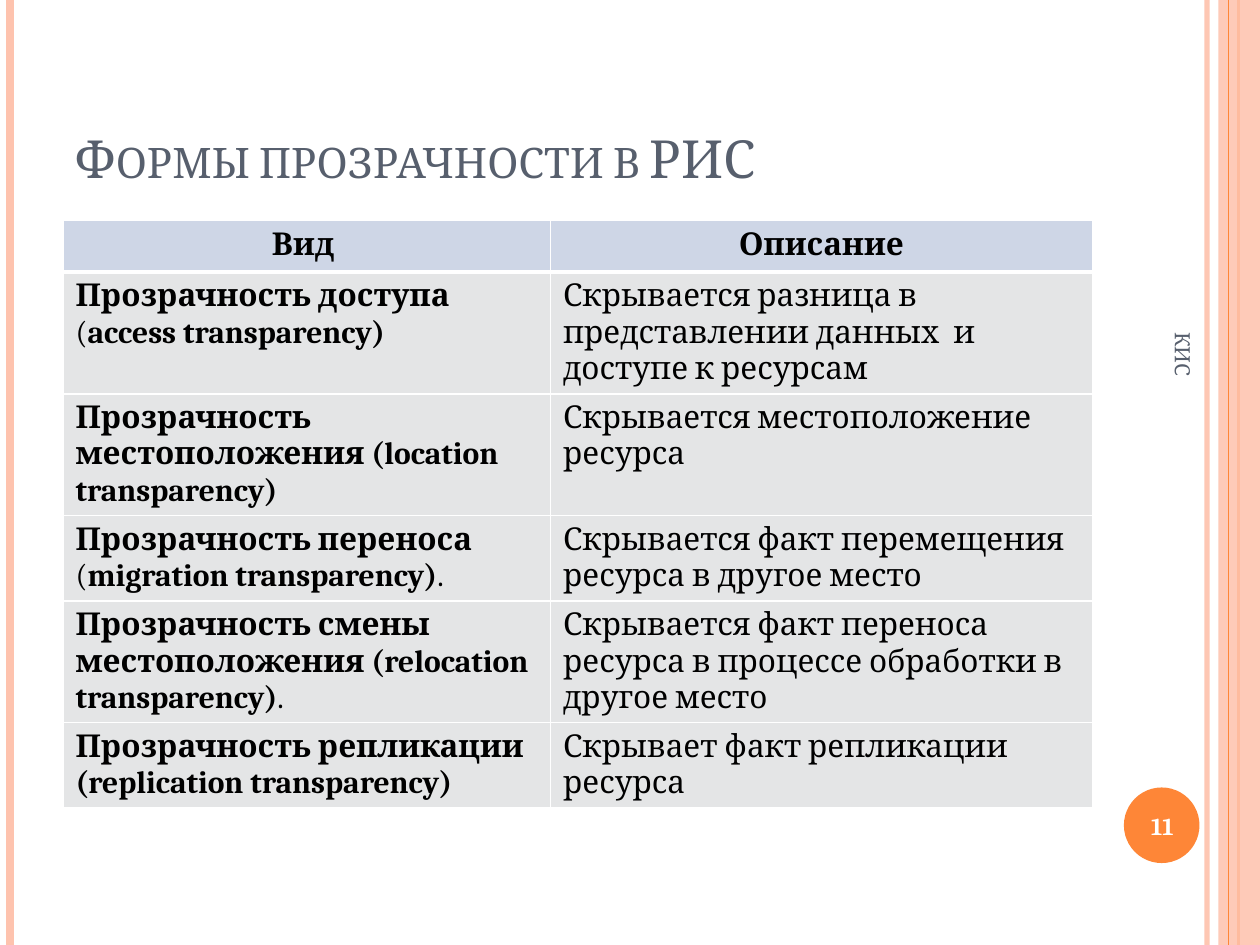
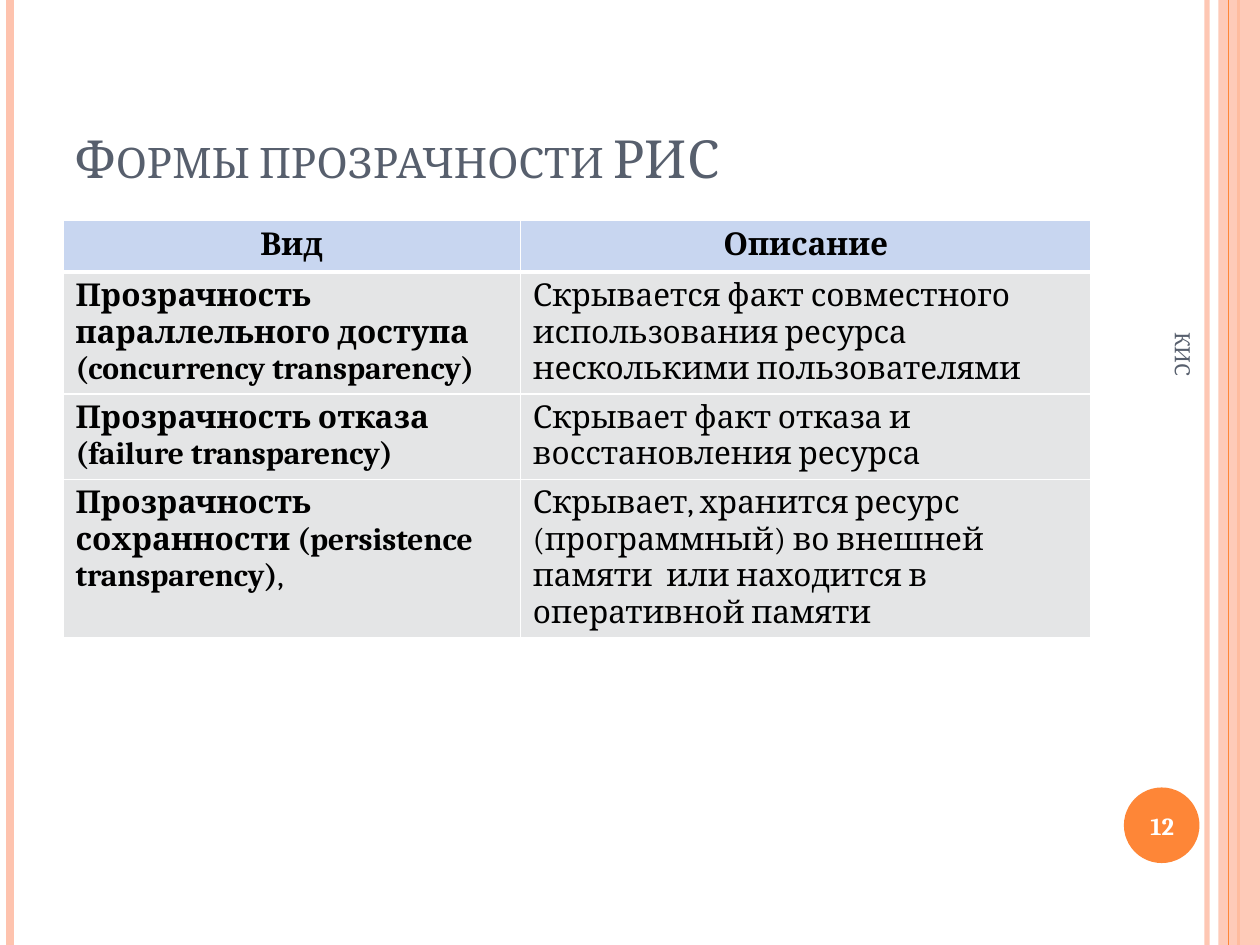
from lxml import etree
from pptx import Presentation
from pptx.dml.color import RGBColor
from pptx.enum.shapes import MSO_CONNECTOR, MSO_SHAPE
from pptx.enum.text import MSO_ANCHOR, MSO_AUTO_SIZE, PP_ALIGN
from pptx.oxml import parse_xml
from pptx.oxml.ns import nsdecls, qn
from pptx.util import Inches, Pt

FONT = "Cambria"
WHITE = RGBColor(0xFF, 0xFF, 0xFF)
BLACK = RGBColor(0x00, 0x00, 0x00)
SLATE = RGBColor(0x57, 0x5F, 0x6D)
ORANGE = RGBColor(0xFE, 0x86, 0x37)
PEACH = RGBColor(0xFE, 0xC3, 0xAE)
ROW_GREY = RGBColor(0xE4, 0xE5, 0xE6)

# Vertical rules: x, colour, width in points, opacity in percent
RULES_BELOW_BAND = [(9.58, PEACH, 3, 93), (0.08, PEACH, 4.5, 100), (9.83, ORANGE, 1.5, 100)]
RULES_ABOVE_BAND = [(9.75, ORANGE, 0.75, 100)]

# In the first column "|" switches between bold and regular text.
SLIDES = [
    {
        "title": "Формы прозрачности в РИС",
        "number": "11",
        "header_fill": RGBColor(0xCE, 0xD6, 0xE6),
        "widths": (3.87, 4.3),
        "rows": [
            ("Вид ", "Описание"),
            ("Прозрачность доступа |(|access transparency)",
             "Скрывается разница в представлении данных  и доступе к ресурсам"),
            ("Прозрачность местоположения (location transparency)",
             "Скрывается местоположение ресурса"),
            ("Прозрачность переноса |(|migration transparency)|.",
             "Скрывается факт перемещения ресурса в другое место"),
            ("Прозрачность смены местоположения (relocation transparency)|.",
             "Скрывается факт переноса ресурса в процессе обработки в другое место"),
            ("Прозрачность репликации (replication transparency)",
             "Скрывает факт репликации ресурса"),
        ],
    },
    {
        "title": "Формы прозрачности РИС",
        "number": "12",
        "header_fill": RGBColor(0xC8, 0xD6, 0xF0),
        "widths": (3.63, 4.53),
        "rows": [
            ("Вид", "Описание"),
            ("Прозрачность параллельного доступа (concurrency transparency)",
             "Скрывается факт совместного использования ресурса несколькими пользователями"),
            ("Прозрачность отказа (failure transparency)",
             "Скрывает факт отказа и восстановления ресурса"),
            ("Прозрачность сохранности (persistence transparency)|,",
             "Скрывает, хранится ресурс (программный) во внешней памяти  или находится "
             "в оперативной памяти"),
        ],
    },
]


def set_opacity(element, percent):
    color = element.find(".//" + qn("a:srgbClr"))
    etree.SubElement(color, qn("a:alpha")).set("val", str(percent * 1000))


def add_rules(page, rules):
    """Draw full-height vertical lines."""
    for x, color, width, opacity in rules:
        rule = page.shapes.add_connector(
            MSO_CONNECTOR.STRAIGHT, Inches(x), 0, Inches(x), Inches(7.5))
        rule.line.color.rgb = color
        rule.line.width = Pt(width)
        if opacity < 100:
            set_opacity(rule.line._ln, opacity)
        etree.SubElement(rule._element.spPr, qn("a:effectLst"))


deck = Presentation()
deck.slide_width, deck.slide_height = Inches(10), Inches(7.5)

for content in SLIDES:
    page = deck.slides.add_slide(deck.slide_layouts[5])

    # Side bands and number disc
    add_rules(page, RULES_BELOW_BAND)
    band = page.shapes.add_shape(
        MSO_SHAPE.RECTANGLE, Inches(9.67), 0, Inches(0.33), Inches(7.5))
    disc = page.shapes.add_shape(
        MSO_SHAPE.OVAL, Inches(8.92), Inches(6.25), Inches(0.6), Inches(0.6))
    for shape, color in ((band, PEACH), (disc, ORANGE)):
        shape.shadow.inherit = False
        shape.fill.solid()
        shape.fill.fore_color.rgb = color
        shape.line.fill.background()
    set_opacity(band._element.spPr, 87)
    add_rules(page, RULES_ABOVE_BAND)

    # Title
    title = page.shapes.title
    title.left, title.top = Inches(0.5), Inches(0.3)
    title.width, title.height = Inches(8.17), Inches(1.25)
    frame = title.text_frame
    frame.text = content["title"]
    frame.word_wrap = True
    frame.auto_size = MSO_AUTO_SIZE.NONE
    frame.vertical_anchor = MSO_ANCHOR.BOTTOM
    para = frame.paragraphs[0]
    para.alignment = PP_ALIGN.LEFT
    para.font.name, para.font.size = FONT, Pt(30)
    para.font.color.rgb = SLATE
    para.runs[0]._r.get_or_add_rPr().set("cap", "small")

    # Table
    rows = content["rows"]
    table = page.shapes.add_table(
        len(rows), 2, Inches(0.5), Inches(1.75),
        Inches(8.17), Inches(0.41 * len(rows))).table
    for column, width in zip(table.columns, content["widths"]):
        column.width = Inches(width)
    for row_index, row in enumerate(rows):
        is_header = row_index == 0
        table.rows[row_index].height = Inches(0.41)
        for column_index, text in enumerate(row):
            cell = table.cell(row_index, column_index)
            borders = {"L": 1, "R": 1, "T": 3 if row_index == 1 else 1, "B": 3 if is_header else 1}
            for side, width in borders.items():
                cell._tc.get_or_add_tcPr().append(parse_xml(
                    f'<a:ln{side} {nsdecls("a")} w="{Pt(width)}"><a:solidFill>'
                    f'<a:srgbClr val="{WHITE}"/></a:solidFill></a:ln{side}>'))
            cell.fill.solid()
            cell.fill.fore_color.rgb = content["header_fill"] if is_header else ROW_GREY
            para = cell.text_frame.paragraphs[0]
            para.alignment = PP_ALIGN.CENTER if is_header else PP_ALIGN.LEFT
            for span_index, words in enumerate(text.split("|")):
                span = para.add_run()
                span.text = words
                span.font.name, span.font.size = FONT, Pt(18)
                span.font.color.rgb = BLACK
                span.font.bold = is_header or (column_index == 0 and span_index % 2 == 0)

    # Slide number and rotated footer
    labels = [
        (content["number"], (8.89, 6.27, 0.67, 0.57), 0, 14, WHITE, True, PP_ALIGN.CENTER),
        ("КИС", (7.64, 4.09, 3.5, 0.4), 90, 12, SLATE, False, PP_ALIGN.LEFT),
    ]
    for text, place, rotation, size, color, bold, alignment in labels:
        box = page.shapes.add_textbox(*map(Inches, place))
        box.rotation = rotation
        box.text_frame.word_wrap = True
        box.text_frame.vertical_anchor = MSO_ANCHOR.MIDDLE
        para = box.text_frame.paragraphs[0]
        para.text = text
        para.alignment = alignment
        para.font.name, para.font.size, para.font.bold = FONT, Pt(size), bold
        para.font.color.rgb = color

deck.save("out.pptx")
